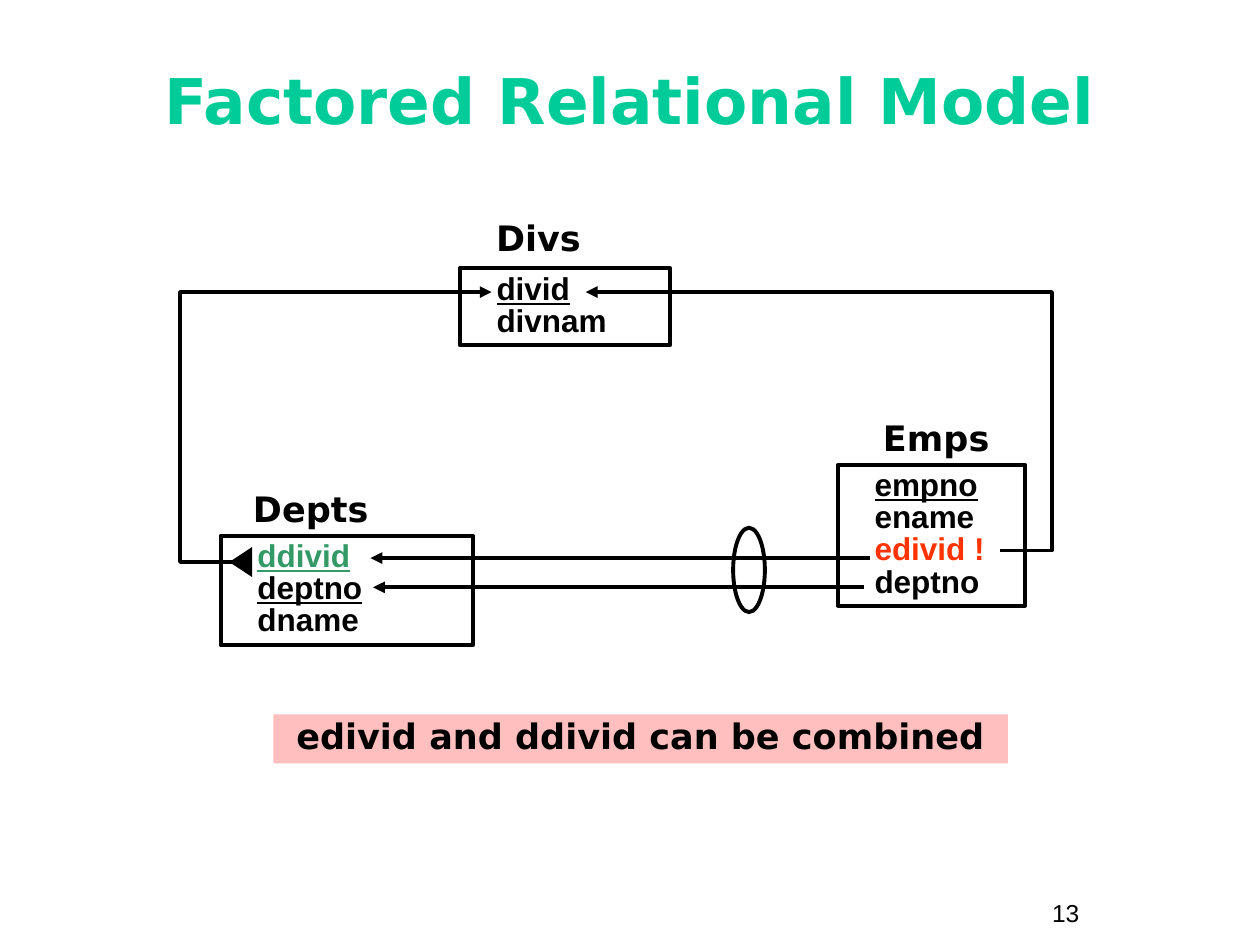
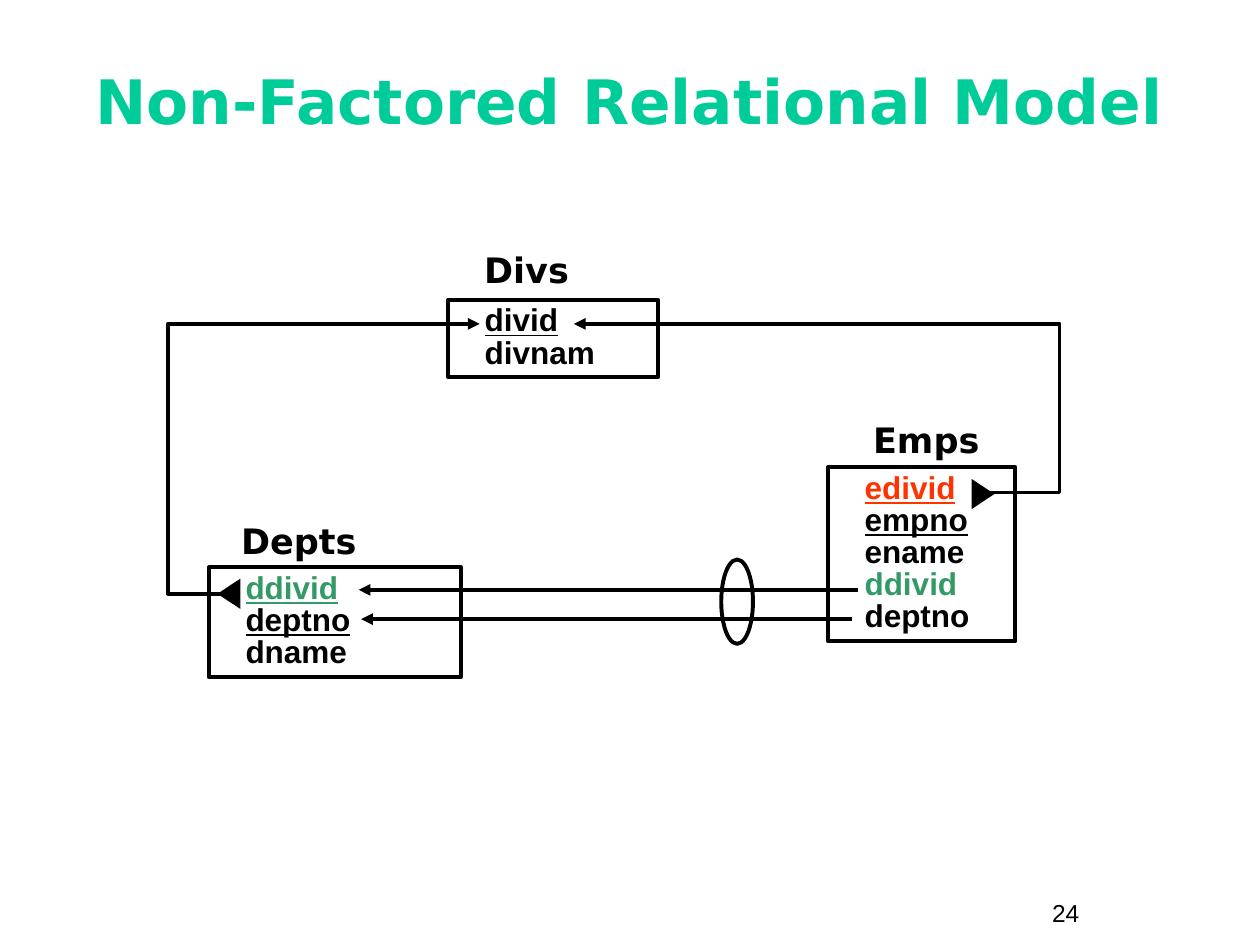
from lxml.etree import SubElement
from pptx import Presentation
from pptx.dml.color import RGBColor
from pptx.enum.shapes import MSO_CONNECTOR, MSO_SHAPE
from pptx.enum.text import MSO_ANCHOR, PP_ALIGN
from pptx.oxml.ns import qn
from pptx.util import Cm, Pt

BLACK = RGBColor(0x00, 0x00, 0x00)
TEAL = RGBColor(0x00, 0xCC, 0x99)
GREEN = RGBColor(0x33, 0x99, 0x66)
RED = RGBColor(0xFF, 0x33, 0x00)
PINK = RGBColor(0xFF, 0xBF, 0xBF)
HEADING_FONT = "DejaVu Sans"
BODY_FONT = "Arial"
LINE_WIDTH = Pt(2.25)


class ModelDeck:
    def __init__(self):
        self.presentation = Presentation()
        self.presentation.slide_width = Cm(25.4)
        self.presentation.slide_height = Cm(19.05)

    def start_slide(self, title, title_size, number, shift=(0, 0)):
        self.slide = self.presentation.slides.add_slide(self.presentation.slide_layouts[6])
        self.shift = (0, 0)
        self.text(title, 0.84, 0.84, 23.7, 2.34, title_size, color=TEAL, centered=True)
        self.text(number, 20.96, 17.98, 2.34, 0.86, 14, font=BODY_FONT, bold=False)
        self.shift = shift

    def place(self, left, top):
        return Cm(left + self.shift[0]), Cm(top + self.shift[1])

    def fill_paragraph(self, paragraph, text, size, font=HEADING_FONT, color=BLACK, bold=True, underline=False):
        paragraph.text = text
        paragraph.font.size = Pt(size)
        paragraph.font.name = font
        paragraph.font.bold = bold
        paragraph.font.underline = underline
        paragraph.font.color.rgb = color

    def text(self, text, left, top, width, height, size, centered=False, **style):
        box = self.slide.shapes.add_textbox(*self.place(left, top), Cm(width), Cm(height))
        frame = box.text_frame
        frame.word_wrap = True
        frame.vertical_anchor = MSO_ANCHOR.MIDDLE if centered else MSO_ANCHOR.TOP
        paragraph = frame.paragraphs[0]
        paragraph.alignment = PP_ALIGN.CENTER if centered else PP_ALIGN.LEFT
        self.fill_paragraph(paragraph, text, size, **style)

    def shape(self, kind, left, top, width, height, fill=None, outlined=True):
        shape = self.slide.shapes.add_shape(kind, *self.place(left, top), Cm(width), Cm(height))
        shape.shadow.inherit = False
        if fill is None:
            shape.fill.background()
        else:
            shape.fill.solid()
            shape.fill.fore_color.rgb = fill
        if outlined:
            shape.line.color.rgb = BLACK
            shape.line.width = LINE_WIDTH
        else:
            shape.line.fill.background()
        return shape

    def entity(self, name, left, top, width, height, columns, label_indent, label_rise=1.1):
        self.text(name, left + label_indent, top - label_rise, 4, 1.12, 20)
        frame = self.shape(MSO_SHAPE.RECTANGLE, left, top, width, height).text_frame
        frame.word_wrap = True
        frame.vertical_anchor = MSO_ANCHOR.TOP
        frame.margin_left = Cm(0.74)
        for index, (column, color, is_key) in enumerate(columns):
            paragraph = frame.add_paragraph() if index else frame.paragraphs[0]
            paragraph.alignment = PP_ALIGN.LEFT
            paragraph.line_spacing = 0.85
            self.fill_paragraph(paragraph, column, 18, BODY_FONT, color, underline=is_key)

    def arrow(self, start, end, turn=None):
        kind = MSO_CONNECTOR.STRAIGHT if turn is None else MSO_CONNECTOR.ELBOW
        connector = self.slide.shapes.add_connector(kind, *self.place(*start), *self.place(*end))
        connector.line.color.rgb = BLACK
        connector.line.width = LINE_WIDTH
        properties = connector._element.spPr
        SubElement(properties.find(qn("a:ln")), qn("a:tailEnd"), type="triangle")
        SubElement(properties, qn("a:effectLst"))
        if turn is not None:
            ratio = round((turn - start[0]) / (end[0] - start[0]) * 100000)
            guides = properties.find(qn("a:prstGeom")).find(qn("a:avLst"))
            SubElement(guides, qn("a:gd"), name="adj1", fmla=f"val {ratio}")

    def marker(self, left, top, rotation):
        triangle = self.shape(MSO_SHAPE.ISOSCELES_TRIANGLE, left, top, 0.61, 0.46, BLACK, False)
        triangle.rotation = rotation

    def banner(self, text, left, top, width, height):
        paragraph = self.shape(
            MSO_SHAPE.RECTANGLE, left, top, width, height, PINK, False
        ).text_frame.paragraphs[0]
        paragraph.alignment = PP_ALIGN.CENTER
        paragraph.line_spacing = 0.85
        self.fill_paragraph(paragraph, text, 20)

    def divisions_and_departments(self):
        self.entity("Divs", 9.27, 5.41, 4.24, 1.55,
                    [("divid", BLACK, True), ("divnam", BLACK, False)], 0.48, 1.17)
        self.entity("Depts", 4.45, 10.8, 5.08, 2.21,
                    [("ddivid", GREEN, True), ("deptno", BLACK, True), ("dname", BLACK, False)], 0.4)
        self.arrow((4.98, 11.33), (9.91, 5.89), turn=3.63)
        self.marker(4.55, 11.1, 270)

    def employees(self, left, top, height, columns, link_start, link_turn):
        self.entity("Emps", left, top, 3.78, height, columns, 0.66)
        self.arrow(link_start, (11.81, 5.89), link_turn)
        self.arrow((17.53, 11.25), (7.47, 11.25))
        self.arrow((17.42, 11.84), (7.52, 11.84))
        self.shape(MSO_SHAPE.OVAL, 14.78, 10.64, 0.64, 1.7)


def main():
    deck = ModelDeck()

    deck.start_slide("Factored Relational Model", 36, "13")
    deck.divisions_and_departments()
    deck.employees(
        16.89, 9.37, 2.84,
        [("empno", BLACK, True), ("ename", BLACK, False),
         ("edivid !", RED, False), ("deptno", BLACK, False)],
        (20.17, 11.1), 21.21)
    deck.banner("edivid and ddivid can be combined", 5.51, 14.4, 14.81, 0.99)

    deck.start_slide("Non-Factored Relational Model", 35, "24", shift=(-0.24, 0.64))
    deck.divisions_and_departments()
    deck.employees(
        16.93, 8.78, 3.51,
        [("edivid", RED, True), ("empno", BLACK, True), ("ename", BLACK, False),
         ("ddivid", GREEN, False), ("deptno", BLACK, False)],
        (20.03, 9.29), 21.6)
    deck.marker(19.75, 9.09, 90)

    deck.presentation.save("out.pptx")


if __name__ == "__main__":
    main()
